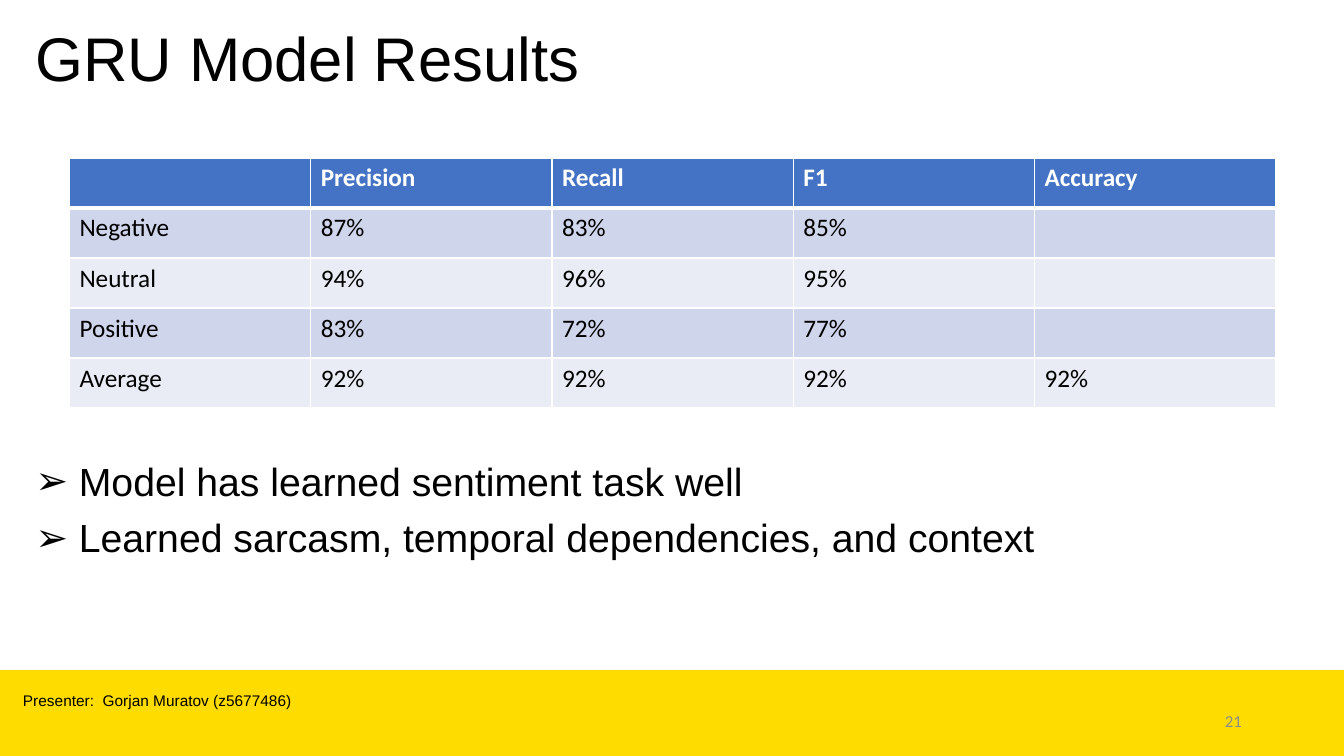
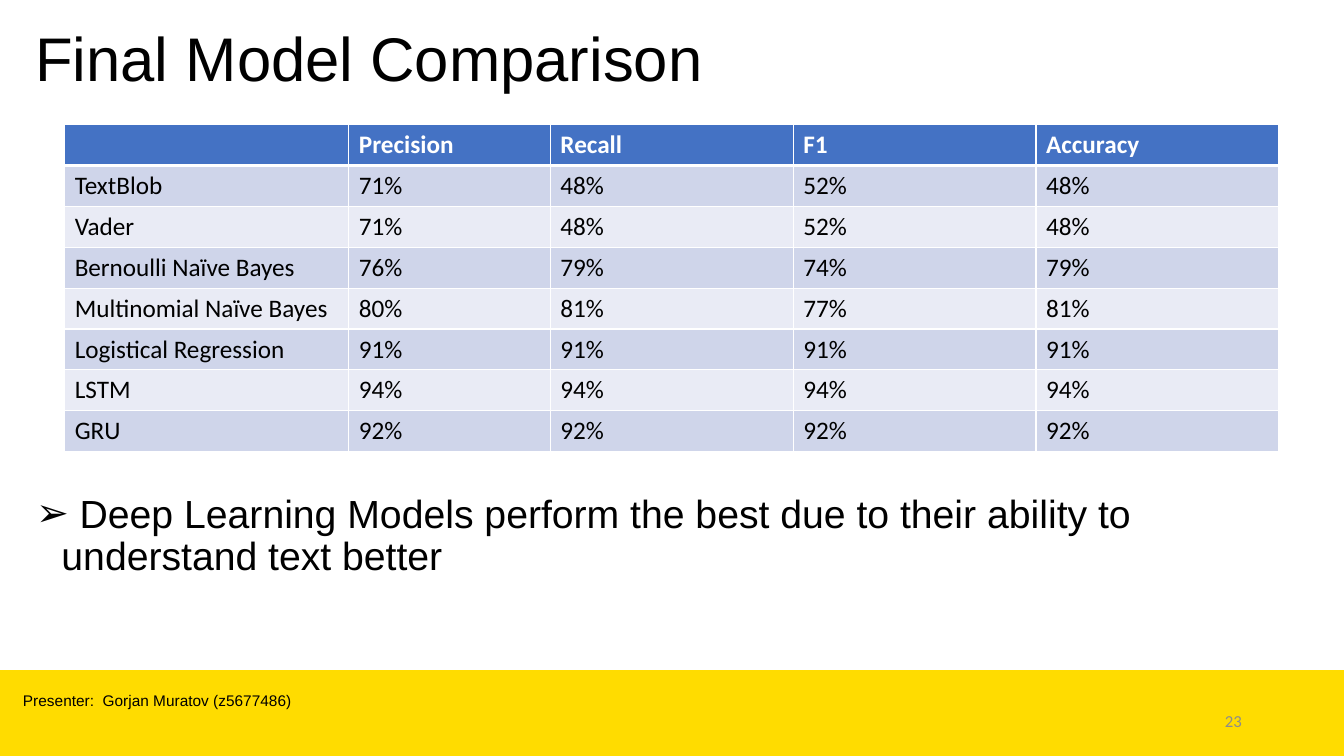
import pptx
import pptx.dml.color
import pptx.enum.shapes
import pptx.enum.text
import pptx.oxml
import pptx.oxml.ns
import pptx.util
from lxml import etree

Cm = pptx.util.Cm
Pt = pptx.util.Pt
ANCHOR = pptx.enum.text.MSO_ANCHOR
ALIGN = pptx.enum.text.PP_ALIGN

SLIDE_WIDTH, SLIDE_HEIGHT = 33.87, 19.05
BAND_HEIGHT = 2.16
COLORS = {
    "band": "FFDC00",
    "ink": "000000",
    "page": "8C8C8C",
    "white": "FFFFFF",
    "header": "4472C4",
    "odd_row": "CFD5EA",
    "even_row": "E9EBF5",
}
PRESENTER = "Presenter:  Gorjan Muratov (z5677486)"
HEADER = ("", "Precision", "Recall", "F1", "Accuracy")

SLIDES = [
    {
        "title": "GRU Model Results",
        "page": "21",
        "rows": [
            ("Negative", "87%", "83%", "85%", ""),
            ("Neutral", "94%", "96%", "95%", ""),
            ("Positive", "83%", "72%", "77%", ""),
            ("Average", "92%", "92%", "92%", "92%"),
        ],
        "table_at": (1.75, 3.98),
        "column_widths": (6.08, 6.08, 6.08, 6.08, 6.08),
        "row_height": 1.26,
        "points": [
            " Model has learned sentiment task well",
            " Learned sarcasm, temporal dependencies, and context",
        ],
        "points_at": (0.64, 11.53, 32.28, 4.72),
    },
    {
        "title": "Final Model Comparison",
        "page": "23",
        "rows": [
            ("TextBlob", "71%", "48%", "52%", "48%"),
            ("Vader", "71%", "48%", "52%", "48%"),
            ("Bernoulli Naïve Bayes", "76%", "79%", "74%", "79%"),
            ("Multinomial Naïve Bayes", "80%", "81%", "77%", "81%"),
            ("Logistical Regression", "91%", "91%", "91%", "91%"),
            ("LSTM", "94%", "94%", "94%", "94%"),
            ("GRU", "92%", "92%", "92%", "92%"),
        ],
        "table_at": (1.63, 3.14),
        "column_widths": (7.16, 5.08, 6.12, 6.12, 6.12),
        "row_height": 1.03,
        "points": [
            " Deep Learning Models perform the best due to their ability to understand text better",
        ],
        "points_at": (0.66, 12.34, 31.9, 3.96),
    },
]


def rgb(name):
    return pptx.dml.color.RGBColor.from_string(COLORS[name])


def add_child(parent, tag, **attributes):
    return etree.SubElement(parent, pptx.oxml.ns.qn(tag), **attributes)


def write(frame, *lines, size=18, font="Arial", color="ink", bold=False, align=ALIGN.LEFT,
          line_spacing=None, space_before=None, bullet=None):
    """Fill a text frame with one paragraph for each line."""
    for index, line in enumerate(lines):
        paragraph = frame.add_paragraph() if index else frame.paragraphs[0]
        paragraph.alignment = align
        paragraph.line_spacing = line_spacing
        paragraph.space_before = space_before
        if bullet:
            properties = paragraph._p.get_or_add_pPr()
            indent = Cm(0.64)
            properties.set("marL", str(indent))
            properties.set("indent", str(-indent))
            add_child(properties, "a:buFont", typeface=font)
            add_child(properties, "a:buChar", char=bullet)
        run = paragraph.add_run()
        run.text = line
        run.font.size = Pt(size)
        run.font.name = font
        run.font.bold = bold
        run.font.color.rgb = rgb(color)


def add_text(slide, at, *lines, anchor=ANCHOR.TOP, **text_format):
    frame = slide.shapes.add_textbox(*map(Cm, at)).text_frame
    frame.word_wrap = True
    frame.vertical_anchor = anchor
    write(frame, *lines, **text_format)


def set_borders(cell, row_index):
    """Draw white borders, with a thick line below the header row."""
    widths = {
        "L": 1,
        "R": 1,
        "T": 3 if row_index == 1 else 1,
        "B": 3 if row_index == 0 else 1,
    }
    properties = cell._tc.get_or_add_tcPr()
    for side, width in widths.items():
        line = add_child(properties, f"a:ln{side}", w=str(Pt(width)))
        add_child(add_child(line, "a:solidFill"), "a:srgbClr", val=COLORS["white"])


def add_results(slide, rows, at, column_widths, row_height):
    rows = [HEADER, *rows]
    size = (sum(column_widths), row_height * len(rows))
    results = slide.shapes.add_table(len(rows), len(HEADER), *map(Cm, at + size)).table
    for column, width in zip(results.columns, column_widths):
        column.width = Cm(width)
    for row_index, values in enumerate(rows):
        results.rows[row_index].height = Cm(row_height)
        is_header = row_index == 0
        fill = "header" if is_header else "odd_row" if row_index % 2 else "even_row"
        for column_index, value in enumerate(values):
            cell = results.cell(row_index, column_index)
            set_borders(cell, row_index)
            cell.fill.solid()
            cell.fill.fore_color.rgb = rgb(fill)
            if value:
                write(cell.text_frame, value, font="Calibri", bold=is_header,
                      color="white" if is_header else "ink")


def add_frame(slide, title, page):
    """Add the band, title, presenter and page number that every slide carries."""
    band = slide.shapes.add_shape(
        pptx.enum.shapes.MSO_SHAPE.RECTANGLE, 0, Cm(SLIDE_HEIGHT - BAND_HEIGHT),
        Cm(SLIDE_WIDTH), Cm(BAND_HEIGHT))
    band.shadow.inherit = False
    band.fill.solid()
    band.fill.fore_color.rgb = rgb("band")
    band.line.fill.background()
    add_text(slide, (0.64, 0.38, 32.31, 2.34), title, size=44, line_spacing=0.9,
             anchor=ANCHOR.MIDDLE)
    add_text(slide, (23.93, 17.65, 7.62, 1.02), page, size=12, font="Calibri",
             color="page", align=ALIGN.RIGHT, anchor=ANCHOR.MIDDLE)
    add_text(slide, (0.33, 17.3, 20.35, 0.74), PRESENTER, size=11)


def main():
    deck = pptx.Presentation()
    deck.slide_width, deck.slide_height = Cm(SLIDE_WIDTH), Cm(SLIDE_HEIGHT)
    blank = deck.slide_layouts[6]
    for content in SLIDES:
        slide = deck.slides.add_slide(blank)
        add_frame(slide, content["title"], content["page"])
        add_results(slide, content["rows"], content["table_at"],
                    content["column_widths"], content["row_height"])
        add_text(slide, content["points_at"], *content["points"], size=28,
                 line_spacing=0.9, space_before=Pt(10), bullet="➢")
    deck.save("out.pptx")


if __name__ == "__main__":
    main()
